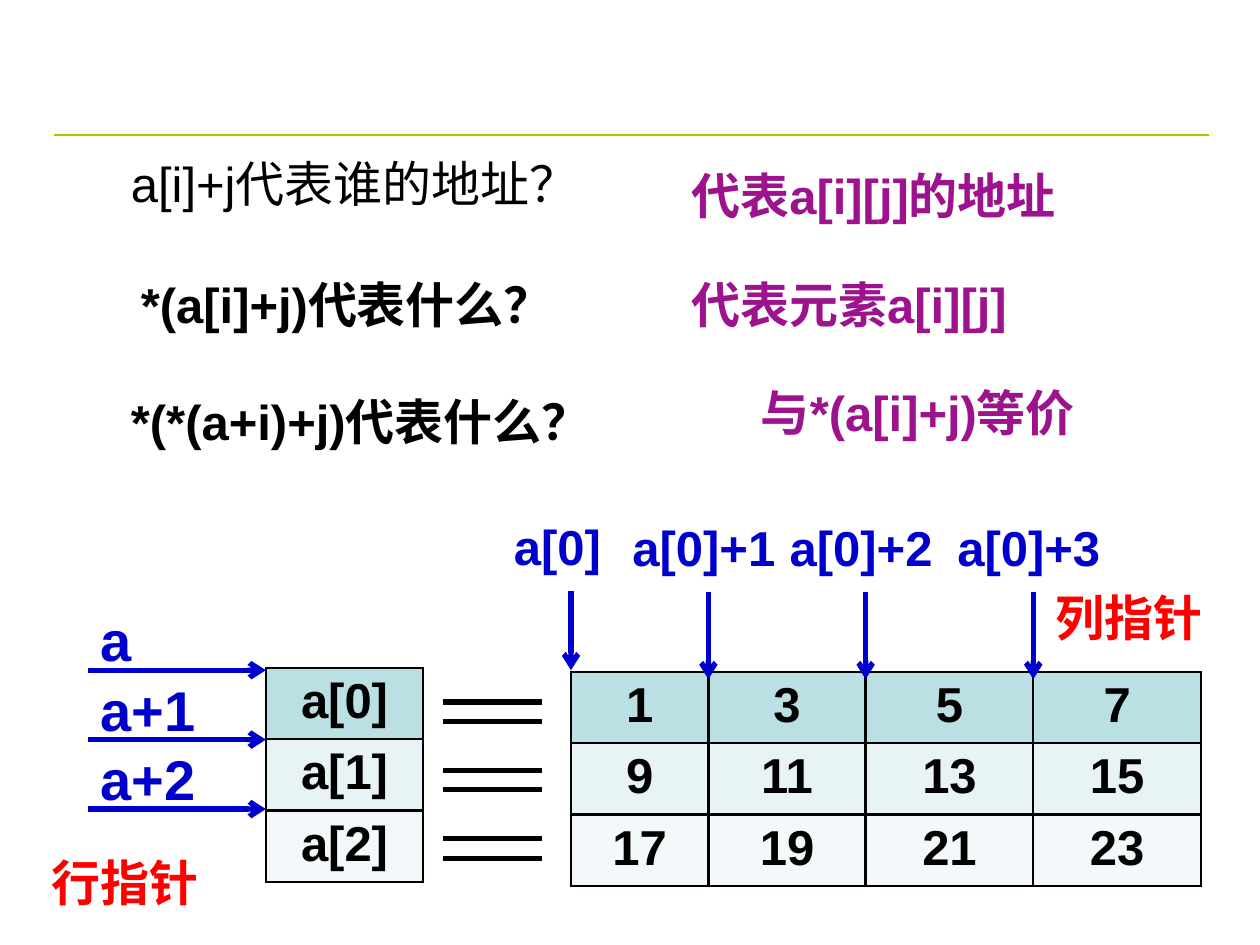
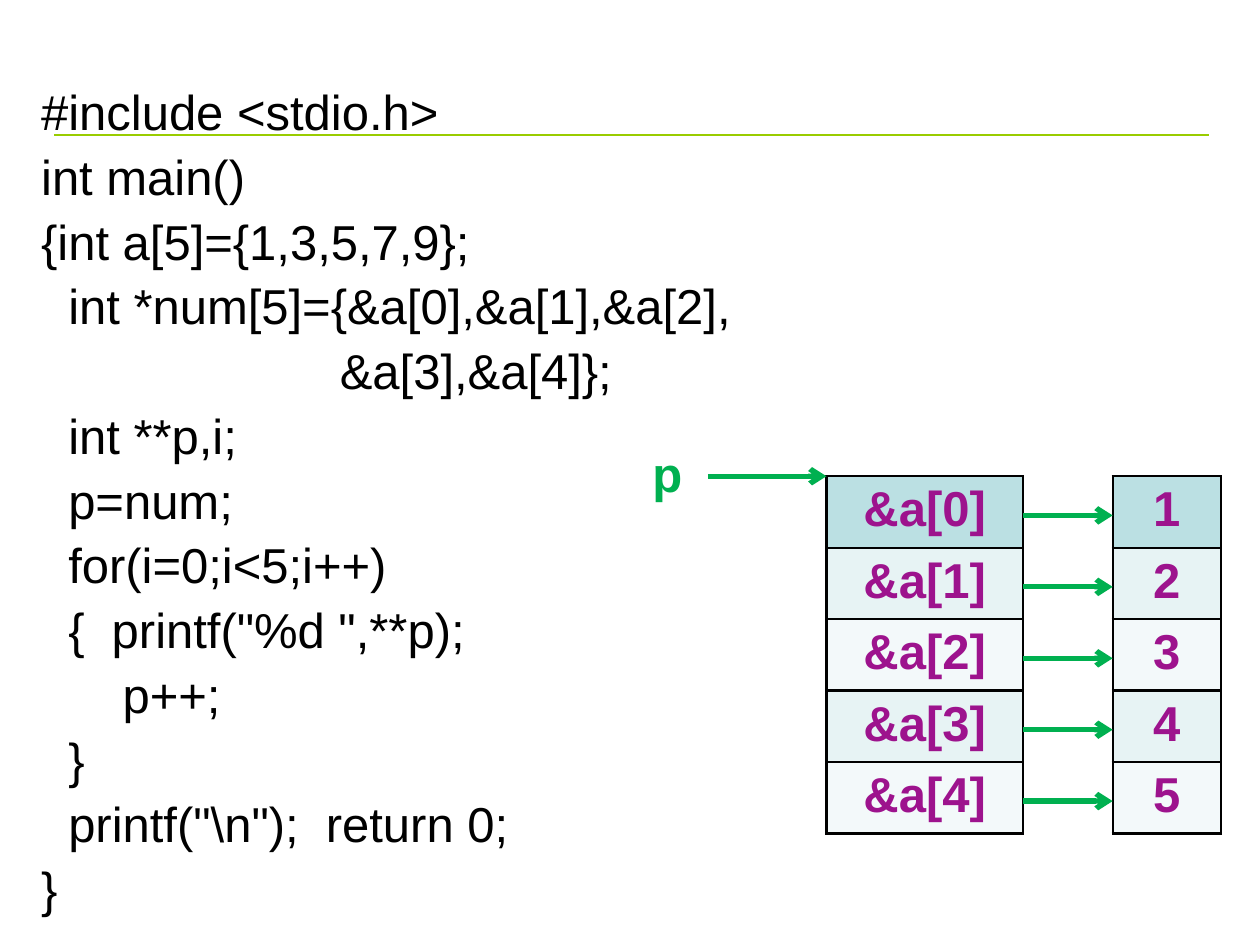
import pptx
import pptx.util
import pptx.dml.color
import pptx.enum.shapes
import pptx.enum.text
import pptx.oxml
import pptx.oxml.ns
from lxml import etree

Cm = pptx.util.Cm
Pt = pptx.util.Pt
RGBColor = pptx.dml.color.RGBColor

FONT = "Arial"
BLACK = RGBColor(0x00, 0x00, 0x00)
BLUE = RGBColor(0x00, 0x00, 0xCC)
RED = RGBColor(0xFF, 0x00, 0x00)
PURPLE = RGBColor(0x9D, 0x13, 0x8D)
GREEN = RGBColor(0x00, 0xB0, 0x50)
LIME = RGBColor(0x99, 0xCC, 0x00)
HEADER_FILL = RGBColor(0xBB, 0xE0, 0xE3)
BAND_FILLS = [RGBColor(0xF3, 0xF9, 0xFA), RGBColor(0xE7, 0xF3, 0xF4)]
ROW_HEIGHT = 1.44


def add_text(page, left, top, width, height, lines, color=BLACK, size=28,
             bold=True, spacing=None):
    box = page.shapes.add_textbox(Cm(left), Cm(top), Cm(width), Cm(height))
    box.text_frame.word_wrap = True
    for index, line in enumerate(lines.split("\n")):
        frame = box.text_frame
        para = frame.add_paragraph() if index else frame.paragraphs[0]
        para.text = line
        para.font.name = FONT
        para.font.size = Pt(size)
        para.font.bold = bold
        para.font.color.rgb = color
        if spacing:
            para.line_spacing = spacing
        if index:
            para.space_before = Pt(7)


def add_line(page, x1, y1, x2, y2, color, width=3, arrow=False):
    line = page.shapes.add_connector(
        pptx.enum.shapes.MSO_CONNECTOR.STRAIGHT, Cm(x1), Cm(y1), Cm(x2), Cm(y2))
    line.line.color.rgb = color
    line.line.width = Pt(width)
    if arrow:
        outline = line.line._get_or_add_ln()
        etree.SubElement(outline, pptx.oxml.ns.qn("a:tailEnd"), type="arrow")
    etree.SubElement(line._element.spPr, pptx.oxml.ns.qn("a:effectLst"))


deck = pptx.Presentation()
deck.slide_width = Cm(25.4)
deck.slide_height = Cm(19.05)
array_page, code_page = [
    deck.slides.add_slide(deck.slide_layouts[6]) for _ in range(2)]

# Green rule on both pages
for page in (array_page, code_page):
    add_line(page, 1.09, 2.72, 24.38, 2.72, LIME, 1.5)

# Tables: page, left, top, column widths, text colour, rows
matrix_left, matrix_columns = 11.51, [2.77, 3.17, 3.38, 3.38]
tables = [
    (array_page, matrix_left, 13.54, matrix_columns, BLACK,
     [[1, 3, 5, 7], [9, 11, 13, 15], [17, 19, 21, 23]]),
    (array_page, 5.36, 13.46, [3.17], BLACK, [[f"a[{i}]"] for i in range(3)]),
    (code_page, 16.66, 9.6, [3.96], PURPLE, [[f"&a[{i}]"] for i in range(5)]),
    (code_page, 22.43, 9.6, [2.18], PURPLE, [[i + 1] for i in range(5)]),
]
for page, left, top, widths, color, rows in tables:
    table = page.shapes.add_table(
        len(rows), len(widths), Cm(left), Cm(top),
        Cm(sum(widths)), Cm(ROW_HEIGHT * len(rows))).table
    for column, width in zip(table.columns, widths):
        column.width = Cm(width)
    for row_index, row in enumerate(rows):
        table.rows[row_index].height = Cm(ROW_HEIGHT)
        for column_index, value in enumerate(row):
            cell = table.cell(row_index, column_index)
            para = cell.text_frame.paragraphs[0]
            para.text = str(value)
            para.alignment = pptx.enum.text.PP_ALIGN.CENTER
            para.font.name = FONT
            para.font.size = Pt(28)
            para.font.bold = True
            para.font.color.rgb = color
            for side in "LRTB":
                cell._tc.get_or_add_tcPr().append(pptx.oxml.parse_xml(
                    f'<a:ln{side} {pptx.oxml.ns.nsdecls("a")} w="{Pt(1.47)}">'
                    f'<a:solidFill><a:srgbClr val="{BLACK}"/></a:solidFill>'
                    f'</a:ln{side}>'))
            cell.fill.solid()
            cell.fill.fore_color.rgb = (
                BAND_FILLS[row_index % 2] if row_index else HEADER_FILL)

# Questions and answers
add_text(array_page, 2.39, 2.97, 11.13, 1.98, "a[i]+j代表谁的地址？", bold=False)
for left, top, width, text, color in [
    (13.69, 2.97, 9.53, "代表a[i][j]的地址", PURPLE),
    (2.59, 5.18, 11.1, "*(a[i]+j)代表什么？", BLACK),
    (13.69, 5.18, 9.53, "代表元素a[i][j]", PURPLE),
    (2.39, 7.54, 12.29, "*(*(a+i)+j)代表什么？", BLACK),
    (15.09, 7.34, 9.32, "与*(a[i]+j)等价", PURPLE),
]:
    add_text(array_page, left, top, width, 1.98, text, color, spacing=1.2)

# Row pointers and the equals signs beside each row
for row, (label, width) in enumerate([("a", 1.2), ("a+1", 3.17), ("a+2", 3.17)]):
    add_text(array_page, 1.78, 12.09 + 1.4 * row, width, 1.62, label, BLUE, 32)
    arrow_y = 13.51 + 1.4 * row
    add_line(array_page, 1.78, arrow_y, 5.36, arrow_y, BLUE, arrow=True)
    for equals_y in (14.15, 14.54):
        bar_y = equals_y + 1.38 * row
        add_line(array_page, 8.94, bar_y, 10.92, bar_y, BLACK)

# Column pointers, each above the left edge of its column
add_text(array_page, 10.11, 10.29, 2.97, 1.45, "a[0]", BLUE)
add_line(array_page, matrix_left, 11.91, matrix_left, 13.51, BLUE, arrow=True)
for column in range(1, 4):
    edge = matrix_left + sum(matrix_columns[:column])
    add_text(array_page, edge - 1.78, 10.31, 4.57, 1.45, f"a[0]+{column}", BLUE)
    add_line(array_page, edge, 11.94, edge, 13.69, BLUE, arrow=True)

# Pointer captions
add_text(array_page, 0.79, 17.07, 3.76, 1.45, "行指针", RED)
add_text(array_page, 21.03, 11.71, 3.76, 1.45, "列指针", RED)

# Program listing
program = r"""#include <stdio.h>
int main()
{int a[5]={1,3,5,7,9};
  int *num[5]={&a[0],&a[1],&a[2],
                      &a[3],&a[4]};
  int **p,i;
  p=num;
  for(i=0;i<5;i++)
  {  printf("%d ",**p);
      p++;
  }
  printf("\n");  return 0;
}"""
add_text(code_page, 0.58, 1.65, 21.44, 16.66, program, bold=False, spacing=Pt(30))

# Pointer p and the links from addresses to values
add_text(code_page, 12.9, 8.81, 1.78, 1.45, "p", GREEN)
add_line(code_page, 14.27, 9.6, 16.66, 9.6, GREEN, arrow=True)
for row in range(5):
    link_y = 10.39 + ROW_HEIGHT * row
    add_line(code_page, 20.62, link_y, 22.43, link_y, GREEN, arrow=True)

deck.save("out.pptx")
